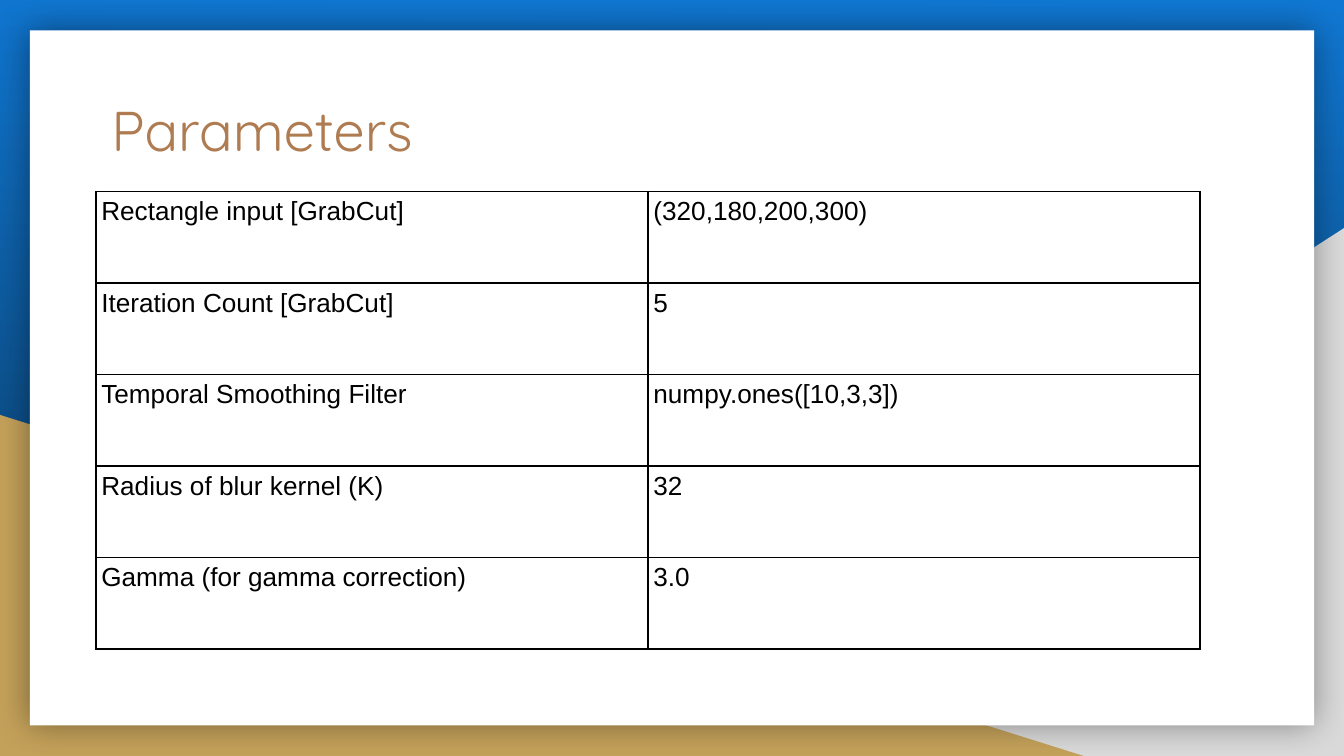
from lxml.etree import SubElement
from pptx import Presentation
from pptx.dml.color import RGBColor
from pptx.enum.shapes import MSO_SHAPE as Preset
from pptx.enum.text import MSO_ANCHOR as Anchor
from pptx.oxml import parse_xml
from pptx.oxml.ns import nsdecls, qn
from pptx.util import Pt

BLACK = "000000"


def color(code):
    return RGBColor.from_string(code)


class ParameterSlide:
    font = "Arial"
    size = 14
    title_font = "Quicksand"
    title_size = 30
    cell_inset = 2.88
    title_inset = 7.2
    border = 1

    def __init__(self, deck):
        self.slide = deck.slides.add_slide(deck.slide_layouts[6])

    def background(self, top, bottom, angle):
        fill = self.slide.background.fill
        fill.gradient()
        fill.gradient_angle = angle
        for stop, code in zip(fill.gradient_stops, (top, bottom)):
            stop.color.rgb = color(code)

    def panel(self, preset, box, code, flip=False):
        panel = self.slide.shapes.add_shape(preset, *map(Pt, box))
        panel.shadow.inherit = False
        panel.fill.solid()
        panel.fill.fore_color.rgb = color(code)
        panel.line.fill.background()
        if flip:
            panel._element.spPr.xfrm.set("flipH", "1")
        return panel

    def glow(self, panel, blur, opacity):
        effects = panel._element.spPr.find(qn("a:effectLst"))
        shadow = SubElement(effects, qn("a:outerShdw"), blurRad=str(Pt(blur)), dist="0",
                            dir="0", algn="ctr", rotWithShape="0")
        tint = SubElement(shadow, qn("a:srgbClr"), val=BLACK)
        SubElement(tint, qn("a:alpha"), val=str(opacity * 1000))

    def inset(self, holder, margin):
        holder.margin_left = holder.margin_right = Pt(margin)
        holder.margin_top = holder.margin_bottom = Pt(margin)

    def label(self, frame, text, size, font, code):
        frame.word_wrap = True
        run = frame.paragraphs[0].add_run()
        run.text = text
        run.font.size = Pt(size)
        run.font.name = font
        run.font.color.rgb = color(code)

    def title(self, text, box, code):
        frame = self.slide.shapes.add_textbox(*map(Pt, box)).text_frame
        frame.vertical_anchor = Anchor.MIDDLE
        self.inset(frame, self.title_inset)
        self.label(frame, text, self.title_size, self.title_font, code)

    def outline(self, cell):
        properties = cell._tc.get_or_add_tcPr()
        for index, side in enumerate(("lnL", "lnR", "lnT", "lnB")):
            properties.insert(index, parse_xml(
                f'<a:{side} {nsdecls("a")} w="{Pt(self.border)}"><a:solidFill>'
                f'<a:srgbClr val="{BLACK}"/></a:solidFill></a:{side}>'))

    def table(self, rows, box):
        grid = self.slide.shapes.add_table(len(rows), len(rows[0]), *map(Pt, box)).table
        grid.first_row = grid.horz_banding = False
        for row, texts in enumerate(rows):
            for column, text in enumerate(texts):
                cell = grid.cell(row, column)
                self.inset(cell, self.cell_inset)
                cell.fill.background()
                self.outline(cell)
                self.label(cell.text_frame, text, self.size, self.font, BLACK)


def main():
    deck = Presentation()
    deck.slide_width, deck.slide_height = Pt(720), Pt(405)
    parameters = ParameterSlide(deck)
    parameters.background("1077D2", "093153", 269)
    parameters.panel(Preset.RIGHT_TRIANGLE, (282.2, 122.2, 437.8, 282.8), "D9D9D9", flip=True)
    parameters.panel(Preset.RIGHT_TRIANGLE, (0, 222.3, 580.5, 182.7), "C4A15A")
    card = parameters.panel(Preset.RECTANGLE, (16, 16.3, 688, 372.4), "FFFFFF")
    parameters.glow(card, 18, 40)
    parameters.title("Parameters", (52.6, 42.5, 591, 53.3), "AF7B51")
    parameters.table([
        ("Rectangle input [GrabCut]", "(320,180,200,300)"),
        ("Iteration Count [GrabCut]", "5"),
        ("Temporal Smoothing Filter", "numpy.ones([10,3,3])"),
        ("Radius of blur kernel (K)", "32"),
        ("Gamma (for gamma correction)", "3.0"),
    ], (51.4, 102.7, 591.6, 245))
    deck.save("out.pptx")


if __name__ == "__main__":
    main()
